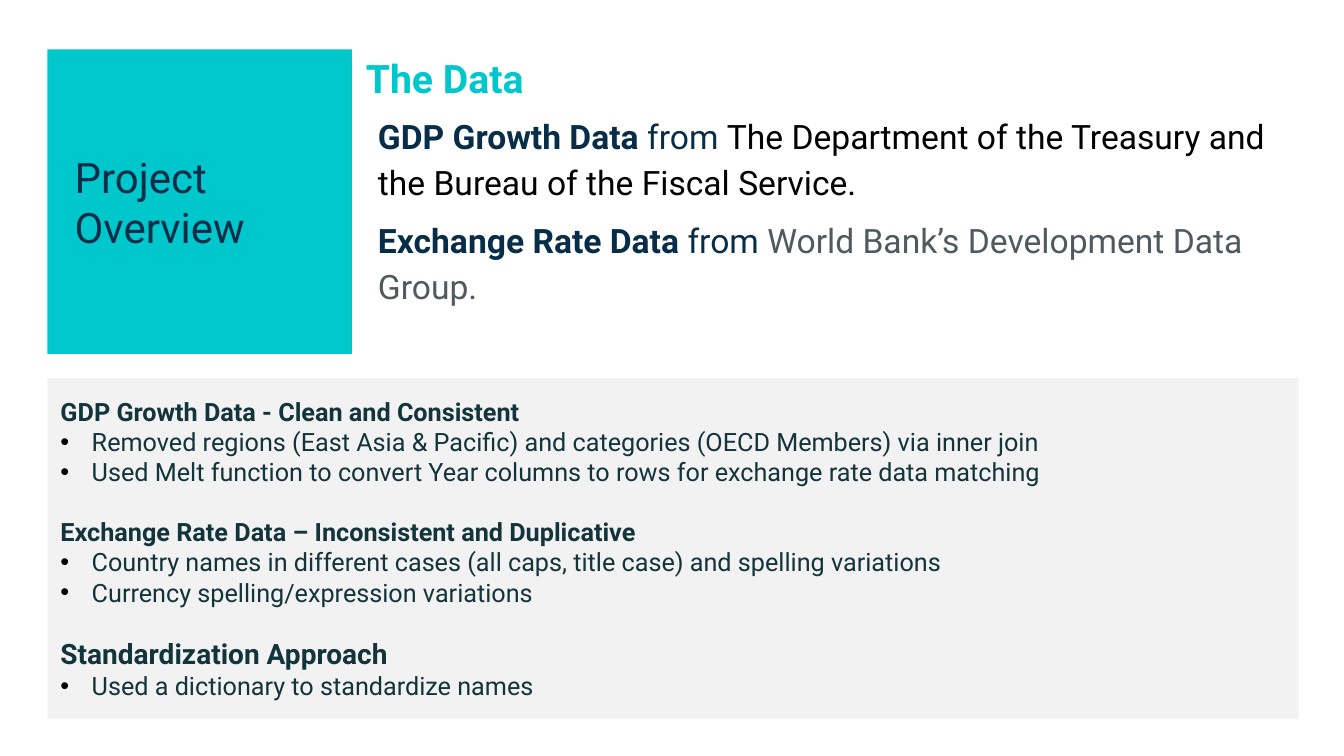
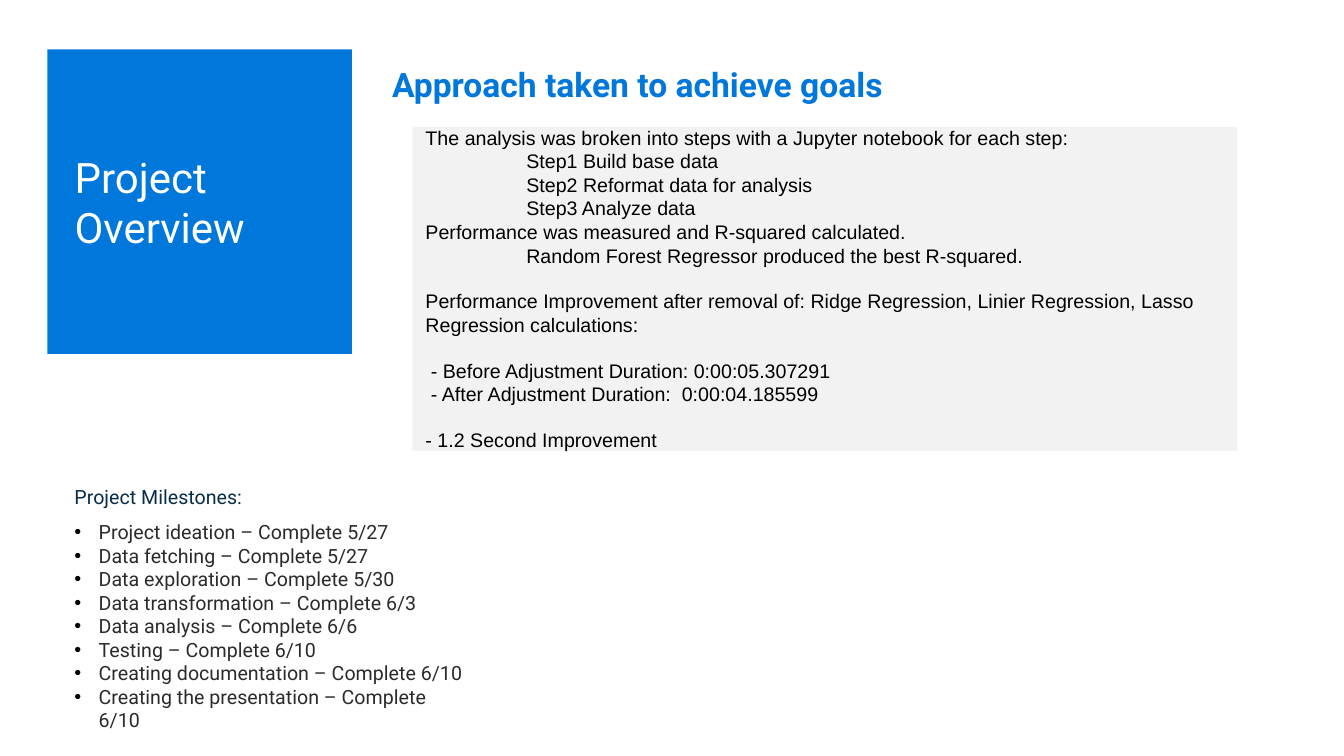
"""Build two project overview slides: the data used and the approach taken."""
from lxml.etree import SubElement
from pptx import Presentation
from pptx.dml.color import RGBColor
from pptx.enum.shapes import MSO_SHAPE
from pptx.enum.text import MSO_ANCHOR, MSO_AUTO_SIZE, PP_ALIGN
from pptx.oxml.ns import qn
from pptx.util import Emu, Pt

PX = 9144
PAGE_SIZE = (1333, 750)
TITLE = "Project Overview"
SQUARE_AT = (47, 49, 302, 302)
TITLE_AT = (64, 166, 263, 68)

THEME = {
    "colours": {
        "teal": "00C7CC", "blue": "0077DB", "panel": "F2F2F2", "navy": "082D49",
        "pine": "13343B", "grey": "50595E", "ink": "2B2B2B", "black": "000000", "white": "FFFFFF",
    },
    "styles": {
        "title": {"size": 30},
        "data heading": {"size": 28, "bold": True, "line": 0.9},
        "goal heading": {"size": 24, "bold": True, "line": 0.9},
        "source": {"size": 24, "colour": "navy", "line": 1.15, "after": 8},
        "topic": {"size": 18, "bold": True, "colour": "pine"},
        "next topic": {"size": 18, "bold": True, "colour": "pine", "before": 21},
        "large topic": {"size": 20, "bold": True, "colour": "pine", "before": 21},
        "point": {"size": 18, "colour": "pine", "bullet": 31},
        "body": {"size": 14, "font": "Arial"},
        "step": {"size": 14, "font": "Arial", "indent": 100},
        "next body": {"size": 14, "font": "Arial", "before": 16},
        "milestone heading": {"size": 14, "colour": "navy", "line": 1.15, "after": 8},
        "milestone": {"size": 14, "colour": "ink", "bullet": 24},
    },
}

SLIDES = [
    {
        "accent": "teal", "title colour": "navy",
        "panel": {"at": (47, 375, 1241, 338), "text": [
            ("topic", "GDP Growth Data - Clean and Consistent"),
            ("point", "Removed regions (East Asia & Pacific) and categories (OECD Members) via inner join"),
            ("point", "Used Melt function to convert Year columns to rows for exchange rate data matching"),
            ("next topic", "Exchange Rate Data – Inconsistent and Duplicative"),
            ("point", "Country names in different cases (all caps, title case) and spelling variations"),
            ("point", "Currency spelling/expression variations"),
            ("large topic", "Standardization Approach"),
            ("point", "Used a dictionary to standardize names"),
        ]},
        "boxes": [
            {"at": (353, 49, 932, 63), "text": [("data heading", "The Data")]},
            {"at": (365, 99, 932, 228), "text": [
                ("source", [
                    ("GDP Growth Data ", {"bold": True}), ("from ", {}),
                    ("The Department of the Treasury and the Bureau of the Fiscal Service.",
                     {"colour": "black"})]),
                ("source", [
                    ("Exchange Rate Data ", {"bold": True}), ("from ", {}),
                    ("World Bank’s Development Data Group.", {"colour": "grey"})]),
            ]},
        ],
    },
    {
        "accent": "blue", "title colour": "white",
        "panel": {"at": (409, 126, 818, 321), "text": [
            ("body", "The analysis was broken into steps with a Jupyter notebook for each step:"),
            ("step", "Step1 Build base data"),
            ("step", "Step2 Reformat data for analysis"),
            ("step", "Step3 Analyze data"),
            ("body", "Performance was measured and R-squared calculated."),
            ("step", "Random Forest Regressor produced the best R-squared."),
            ("next body", "Performance Improvement after removal of: Ridge Regression, "
                          "Linier Regression, Lasso Regression calculations:"),
            ("next body", " - Before Adjustment Duration: 0:00:05.307291"),
            ("body", " - After Adjustment Duration:  0:00:04.185599"),
            ("next body", "- 1.2 Second Improvement"),
        ]},
        "boxes": [
            {"at": (379, 58, 932, 57), "text": [("goal heading", "Approach taken to achieve goals")]},
            {"at": (64, 468, 409, 285), "text": [
                ("milestone heading", "Project Milestones:"),
                ("milestone", "Project ideation – Complete 5/27"),
                ("milestone", "Data fetching – Complete 5/27"),
                ("milestone", "Data exploration – Complete 5/30"),
                ("milestone", "Data transformation – Complete 6/3"),
                ("milestone", "Data analysis – Complete 6/6"),
                ("milestone", "Testing – Complete 6/10"),
                ("milestone", "Creating documentation – Complete 6/10"),
                ("milestone", "Creating the presentation – Complete 6/10"),
            ]},
        ],
    },
]


def scaled(lengths):
    return [Emu(length * PX) for length in lengths]


def set_all(target, values):
    for name, value in values.items():
        setattr(target, name, value)


def colour(name):
    return RGBColor.from_string(THEME["colours"][name])


def add_rectangle(page, at, fill):
    box = page.shapes.add_shape(MSO_SHAPE.RECTANGLE, *scaled(at))
    box.shadow.inherit = False
    box.fill.solid()
    box.fill.fore_color.rgb = colour(fill)
    box.line.fill.background()
    return box


def indent(para, left, hanging):
    properties = para._p.get_or_add_pPr()
    properties.set("marL", str(left * PX))
    if hanging:
        properties.set("indent", str(-left * PX))
        bullet_colour = SubElement(properties, qn("a:buClr"))
        SubElement(bullet_colour, qn("a:srgbClr")).set("val", THEME["colours"]["black"])
        SubElement(properties, qn("a:buFont")).set("typeface", "Arial")
        SubElement(properties, qn("a:buChar")).set("char", "•")


def write(box, paragraphs, base, inset=10, anchor=MSO_ANCHOR.TOP):
    frame = box.text_frame
    margins = dict.fromkeys(("margin_left", "margin_top", "margin_right", "margin_bottom"), Emu(inset * PX))
    set_all(frame, {"word_wrap": True, "auto_size": MSO_AUTO_SIZE.NONE, "vertical_anchor": anchor, **margins})
    for index, (style_name, content) in enumerate(paragraphs):
        style = {"colour": base, **THEME["styles"][style_name]}
        para = frame.add_paragraph() if index else frame.paragraphs[0]
        set_all(para, {
            "alignment": PP_ALIGN.LEFT, "line_spacing": style.get("line", 1.0),
            "space_before": Pt(style.get("before", 0)), "space_after": Pt(style.get("after", 0)),
        })
        if "bullet" in style or "indent" in style:
            indent(para, style.get("bullet", style.get("indent")), "bullet" in style)
        for text, changes in [(content, {})] if isinstance(content, str) else content:
            look = {**style, **changes}
            span = para.add_run()
            span.text = text
            set_all(span.font, {
                "name": look.get("font", "Roboto"), "size": Pt(look["size"]), "bold": look.get("bold", False),
            })
            span.font.color.rgb = colour(look["colour"])


def add_title(page, base):
    title = page.shapes.title
    set_all(title, dict(zip(("left", "top", "width", "height"), scaled(TITLE_AT))))
    write(title, [("title", TITLE)], base, anchor=MSO_ANCHOR.MIDDLE)
    title.element.getparent().append(title.element)


def build_page(deck, content):
    page = deck.slides.add_slide(deck.slide_layouts[5])
    panel = add_rectangle(page, content["panel"]["at"], "panel")
    write(panel, content["panel"]["text"], "black", 13, MSO_ANCHOR.MIDDLE)
    add_rectangle(page, SQUARE_AT, content["accent"])
    for part in content["boxes"]:
        write(page.shapes.add_textbox(*scaled(part["at"])), part["text"], content["accent"])
    add_title(page, content["title colour"])


def main():
    deck = Presentation()
    set_all(deck, dict(zip(("slide_width", "slide_height"), scaled(PAGE_SIZE))))
    for content in SLIDES:
        build_page(deck, content)
    deck.save("out.pptx")


if __name__ == "__main__":
    main()
